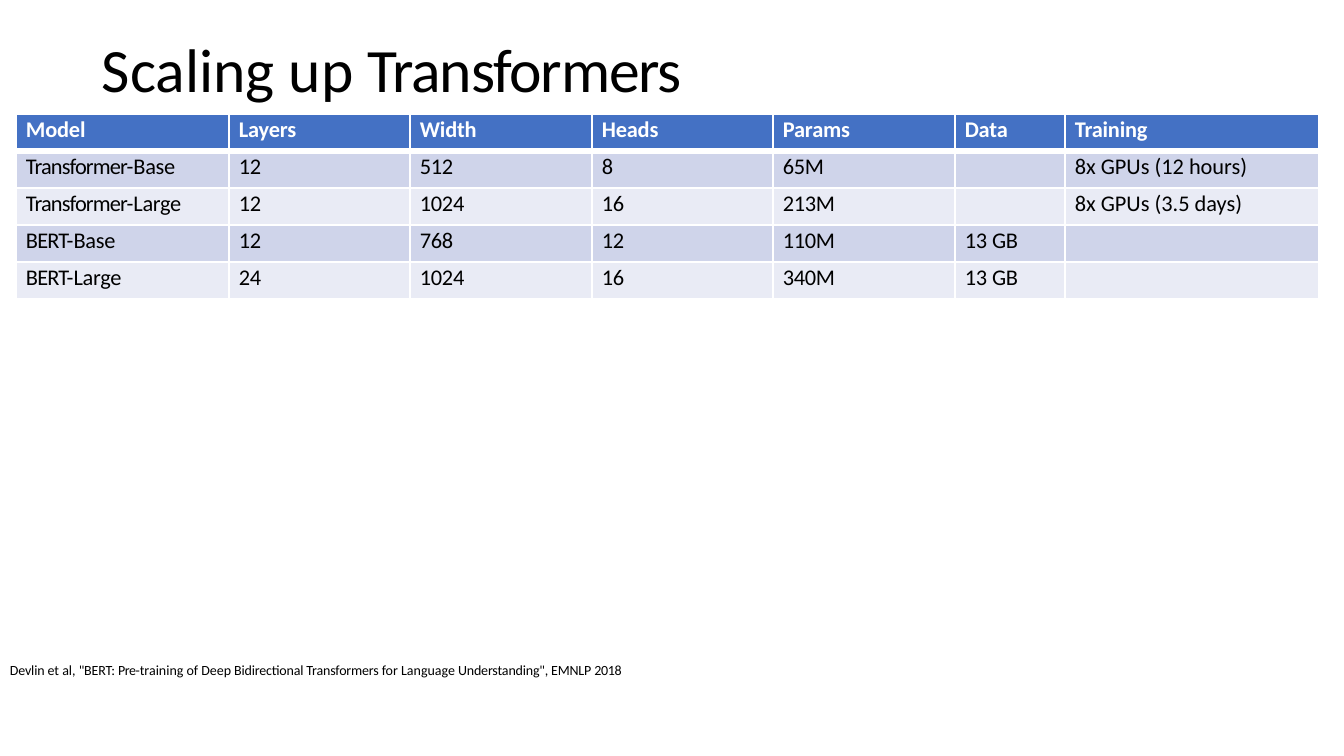
from lxml import etree
from pptx import Presentation, util as u
from pptx.dml.color import RGBColor
from pptx.enum import text
from pptx.oxml.ns import qn

# Content: a run is (words, letter spacing in hundredths of a point)
TITLE = [("Scaling up ", 0), ("Transformers", -90)]
HEADER = ["Model", "Layers", "Width", "Heads", "Params", "Data", "Training"]
MODELS = [
    ["Transformer-Base", "12", "512", "8", "65M", "", "8x GPUs (12 hours)"],
    ["Transformer-Large", "12", "1024", "16", "213M", "", "8x GPUs (3.5 days)"],
    ["BERT-Base", "12", "768", "12", "110M", "13 GB", ""],
    ["BERT-Large", "24", "1024", "16", "340M", "13 GB", ""],
]
CITATION = [
    ("Devlin ", -10), ("et al, ", 0), ('"BERT: ', -10), ("Pre-", -30),
    ("training of Deep ", 0), ("Bidirectional Transformers ", -10),
    ("for Language ", 0), ('Understanding", EMNLP ', -10), ("2018", -20),
]

# Layout in px, colours and formats
PX = 914400 / 100.8
SLIDE = (1344, 756)
TITLE_BOX = (101, 30, 1206, 77)
TABLE_AT = (16, 114)
COL_WIDTHS = [213, 181, 182, 181, 182, 110, 254]
ROW_HEIGHT = 37
CITATION_BOX = (9, 661, 626, 19)
COL_SPACING = [-20, -20, -20, -20, -20, -10, 0]
COLORS = {"text": "000000", "white": "FFFFFF", "header": "4471C4",
          "odd": "CFD4EA", "even": "E9EBF5"}
BOX_FORMAT = {"margin_left": 1, "margin_top": 1, "margin_right": 0, "margin_bottom": 0}
CELL_FORMAT = {"margin_left": 10, "margin_top": 2, "margin_right": 0, "margin_bottom": 0}


def px(n):
    return u.Emu(round(n * PX))


def rgb(name):
    return RGBColor.from_string(COLORS[name])


def set_margins(obj, margins):
    for name, value in margins.items():
        setattr(obj, name, px(value))


def write(tf, runs, size, before, color="text", bold=False):
    p = tf.paragraphs[0]
    p.alignment = text.PP_ALIGN.LEFT
    p.space_before = u.Pt(before)
    font = {"name": "Calibri", "size": u.Pt(size), "bold": bold}
    for words, spacing in runs:
        r = p.add_run()
        r.text = words
        for name, value in font.items():
            setattr(r.font, name, value)
        r.font.color.rgb = rgb(color)
        if spacing:
            r.font._element.set("spc", str(spacing))


def fill_box(sp, runs, size, before):
    tf = sp.text_frame
    tf.word_wrap = True
    tf.auto_size = text.MSO_AUTO_SIZE.SHAPE_TO_FIT_TEXT
    tf.vertical_anchor = text.MSO_ANCHOR.TOP
    set_margins(tf, BOX_FORMAT)
    write(tf, runs, size, before)


def set_borders(cell, widths):
    tc_pr = cell._tc.get_or_add_tcPr()
    for i, (side, width) in enumerate(widths.items()):
        ln = etree.Element(qn(f"a:ln{side}"), w=str(u.Pt(width)))
        solid = etree.SubElement(ln, qn("a:solidFill"))
        etree.SubElement(solid, qn("a:srgbClr"), val=COLORS["white"])
        tc_pr.insert(i, ln)


def cell_runs(value, row, col):
    if row == 0:
        return [(value, -10)]
    if col == 0:
        family, size = value.split("-")
        return [(family + "-", -60), (size, COL_SPACING[col])]
    return [(value, COL_SPACING[col])] if value else []


def add_models_table(slide):
    rows = [HEADER] + MODELS
    table = slide.shapes.add_table(
        len(rows), len(HEADER), *map(px, TABLE_AT),
        px(sum(COL_WIDTHS)), px(ROW_HEIGHT * len(rows))).table
    table.first_row = table.horz_banding = False
    for column, width in zip(table.columns, COL_WIDTHS):
        column.width = px(width)
    for i, values in enumerate(rows):
        table.rows[i].height = px(ROW_HEIGHT)
        band = "header" if i == 0 else ("even", "odd")[i % 2]
        # The rule under the header is three times as thick
        borders = {"L": 1.5, "R": 1.5, "T": 4.5 if i == 1 else 1.5,
                   "B": 4.5 if i == 0 else 1.5}
        for j, value in enumerate(values):
            cell = table.cell(i, j)
            cell.fill.solid()
            cell.fill.fore_color.rgb = rgb(band)
            set_margins(cell, CELL_FORMAT)
            set_borders(cell, borders)
            write(cell.text_frame, cell_runs(value, i, j), 16, 1.6,
                  "white" if i == 0 else "text", i == 0)


def main():
    prs = Presentation()
    prs.slide_width, prs.slide_height = map(px, SLIDE)
    slide = prs.slides.add_slide(prs.slide_layouts[5])

    # Title
    title = slide.shapes.title
    title.left, title.top, title.width, title.height = map(px, TITLE_BOX)
    fill_box(title, TITLE, 44, 1)

    # Model sizes
    add_models_table(slide)

    # Citation
    fill_box(slide.shapes.add_textbox(*map(px, CITATION_BOX)), CITATION, 10, 0.9)

    prs.save("out.pptx")


if __name__ == "__main__":
    main()
